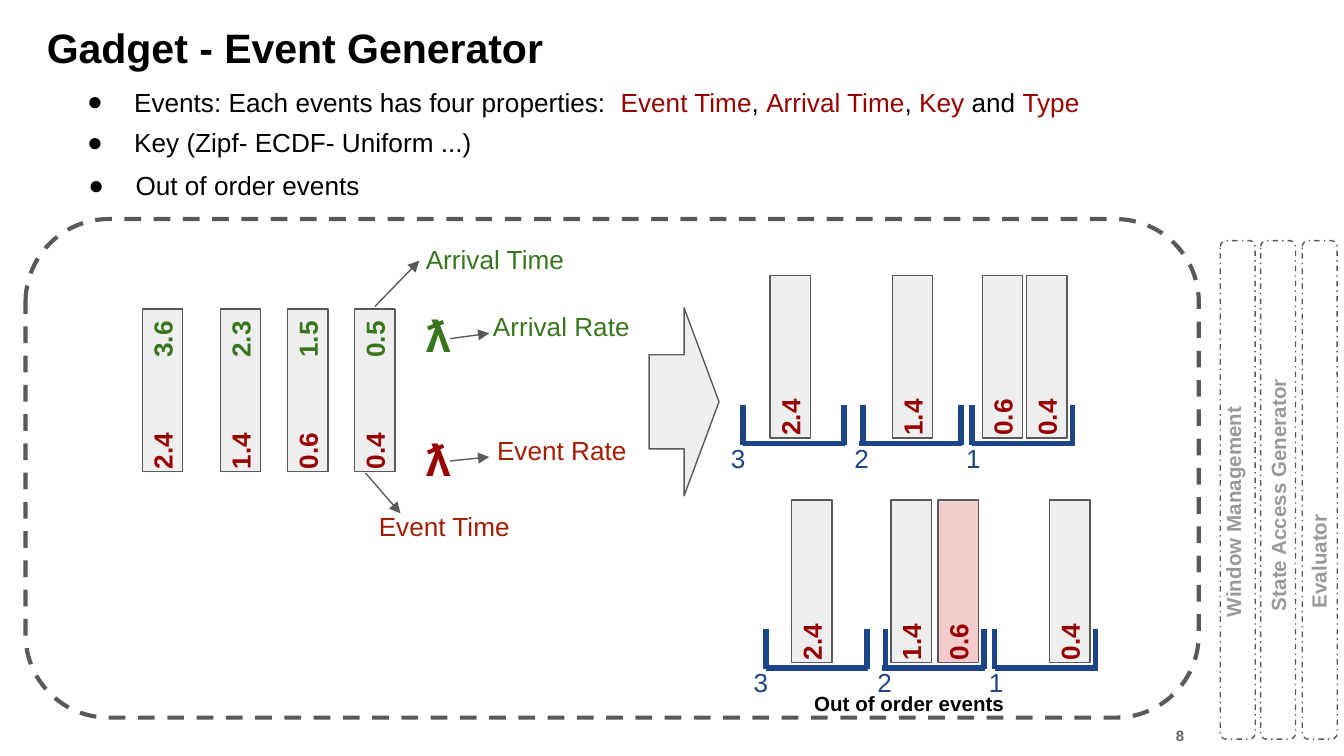
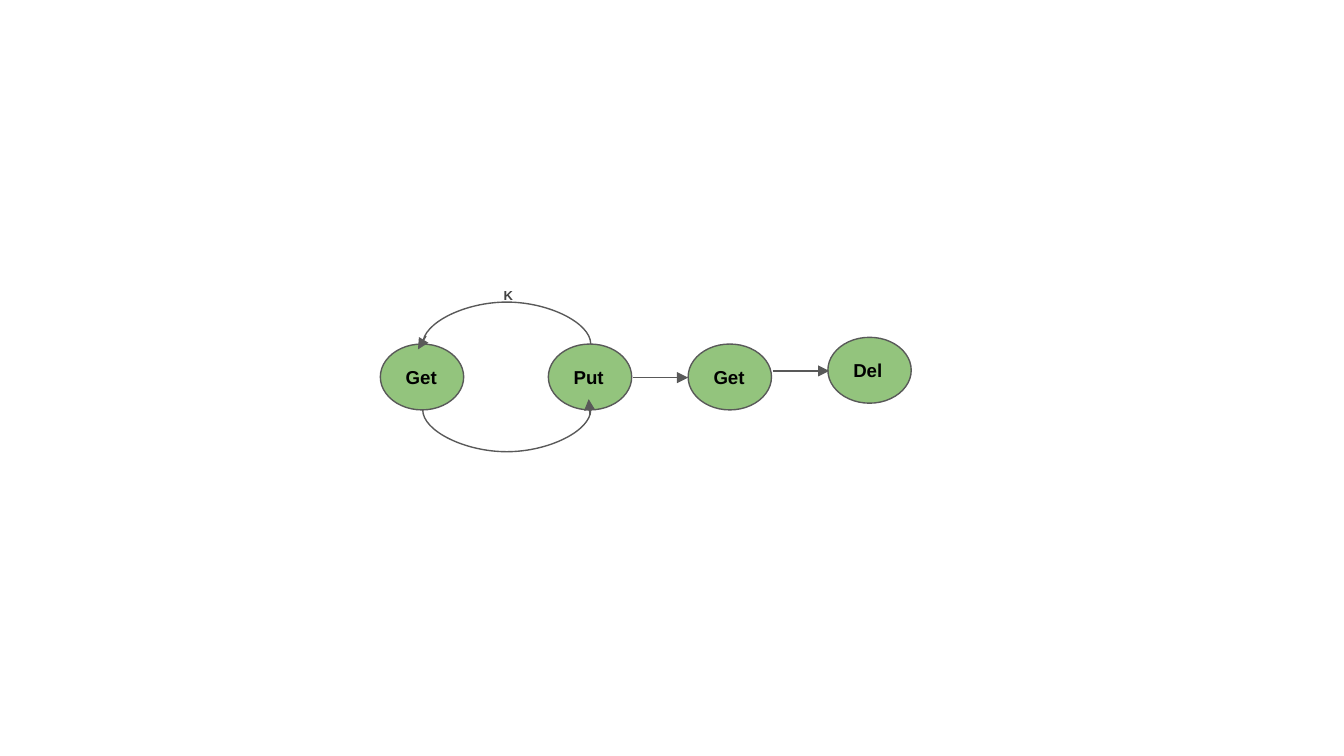
from lxml import etree
from pptx import Presentation
from pptx.dml.color import RGBColor
from pptx.enum import dml, shapes as kinds, text
from pptx.oxml import ns
from pptx.util import Emu, Inches, Pt

FONT = "Arial"
BLACK = RGBColor(0x00, 0x00, 0x00)
OUTLINE = RGBColor(0x59, 0x59, 0x59)
LIGHT = RGBColor(0xEE, 0xEE, 0xEE)
LATE = RGBColor(0xF4, 0xCC, 0xCC)
MUTED = RGBColor(0x99, 0x99, 0x99)
PAGE_GRAY = RGBColor(0x66, 0x66, 0x66)
LOOP_GRAY = RGBColor(0x43, 0x43, 0x43)
DARK_RED = RGBColor(0x98, 0x00, 0x00)
RUST = RGBColor(0xA6, 0x1C, 0x00)
GREEN = RGBColor(0x38, 0x76, 0x1D)
NAVY = RGBColor(0x1C, 0x45, 0x87)
NODE_GREEN = RGBColor(0x93, 0xC4, 0x7D)


def add_xml(parent, tag, **attributes):
    return etree.SubElement(parent, ns.qn(tag), attributes)


def set_font(font, size, color=None, bold=False):
    font.name, font.size, font.bold = FONT, Pt(size), bold
    if color is not None:
        font.color.rgb = color


def add_text_box(shapes, box, rotation=0):
    """Add a wrapping text box and return its first paragraph."""
    text_box = shapes.add_textbox(*map(Inches, box))
    text_box.rotation = rotation
    frame = text_box.text_frame
    frame.word_wrap = True
    frame.auto_size = text.MSO_AUTO_SIZE.SHAPE_TO_FIT_TEXT
    frame.margin_top = frame.margin_bottom = Inches(0.1)
    return frame.paragraphs[0]


def add_label(shapes, box, words, size=14, color=BLACK, bold=False, rotation=0):
    paragraph = add_text_box(shapes, box, rotation)
    paragraph.text = words
    set_font(paragraph.font, size, color, bold)
    return paragraph


def add_bullet(shapes, box, parts):
    """Add one bulleted line; parts are (words, colour) pairs."""
    paragraph = add_text_box(shapes, box)
    properties = paragraph._p.get_or_add_pPr()
    properties.set("marL", str(Inches(0.5)))
    properties.set("indent", str(Inches(-0.35)))
    add_xml(add_xml(properties, "a:buClr"), "a:srgbClr", val=str(BLACK))
    add_xml(properties, "a:buFont", typeface=FONT)
    add_xml(properties, "a:buChar", char="●")
    set_font(paragraph.font, 14)
    for words, color in parts:
        run = paragraph.add_run()
        run.text = words
        run.font.color.rgb = color


def add_outlined(shapes, kind, box, fill=None, width=0.75, dash=None):
    outlined = shapes.add_shape(kind, *map(Inches, box))
    outlined.shadow.inherit = False
    if fill is None:
        outlined.fill.background()
    else:
        outlined.fill.solid()
        outlined.fill.fore_color.rgb = fill
    outlined.line.color.rgb = OUTLINE
    outlined.line.width = Pt(width)
    if dash is not None:
        outlined.line.dash_style = dash
    return outlined


def style_line(line, color, width):
    line.line.color.rgb = color
    line.line.width = Pt(width)
    add_xml(line._element.spPr, "a:effectLst")


def add_line(shapes, start, end, color=OUTLINE, width=0.75):
    line = shapes.add_connector(
        kinds.MSO_CONNECTOR.STRAIGHT, *map(Inches, (*start, *end)))
    style_line(line, color, width)
    return line


def add_arrow(shapes, start, end):
    arrow = add_line(shapes, start, end)
    add_xml(arrow.line._get_or_add_ln(), "a:tailEnd", type="triangle")


def add_loop(shapes, y, bulge):
    """Curve between the first two nodes at height y, bulging down if positive."""
    left, span, thickness = Inches(3.77), Inches(1.25), Emu(600)
    top = Inches(y) - span // 2
    loop = shapes.add_connector(
        kinds.MSO_CONNECTOR.CURVE, left, top, left + thickness, top + span)
    properties = loop._element.spPr
    properties.find(ns.qn("a:xfrm")).set("rot", str(90 * 60000))
    guides = properties.find(ns.qn("a:prstGeom")).find(ns.qn("a:avLst"))
    ratio = round(Inches(bulge) / thickness * 100000)
    add_xml(guides, "a:gd", name="adj1", fmla=f"val {ratio}")
    style_line(loop, OUTLINE, 0.75)


def add_event(slide, x, y, event_time, arrival_time=None, fill=LIGHT):
    """Add an event bar with its event time below and arrival time above."""
    event = slide.shapes.add_group_shape().shapes
    add_outlined(event, kinds.MSO_SHAPE.RECTANGLE, (x, y, 0.3, 1.21), fill)
    times = [(event_time, 0.83, DARK_RED), (arrival_time, 0, GREEN)]
    for time, drop, color in times:
        if time:
            add_label(event, (x - 0.09, y + drop, 0.48, 0.44), time,
                      color=color, bold=True, rotation=270)


def add_windows(shapes, dx, dy):
    """Add the three numbered window brackets, moved by dx and dy."""
    base, foot, top = 3.3 + dy, 3.31 + dy, 3.01 + dy
    windows = [("3", 5.34, 5.53, 6.29, 5.53, 6.28),
               ("2", 6.26, 6.39, 7.16, 6.42, 7.15),
               ("1", 7.09, 7.23, 8.0, 7.23, 7.98)]
    for number, number_x, left, right, *posts in windows:
        add_line(shapes, (left + dx, base), (right + dx, base), NAVY, 3)
        for post in posts:
            add_line(shapes, (post + dx, foot), (post + dx, top), NAVY, 3)
        add_label(shapes, (number_x + dx, 3.19 + dy, 0.26, 0.44), number,
                  color=NAVY)


def add_bullets(shapes):
    add_bullet(shapes, (0.4, 0.54, 8.03, 0.44), [
        ("Events: Each events has four properties:  ", BLACK),
        ("Event Time", DARK_RED), (", ", BLACK),
        ("Arrival Time", DARK_RED), (", ", BLACK),
        ("Key", DARK_RED), (" and ", BLACK), ("Type", DARK_RED)])
    add_bullet(shapes, (0.4, 0.84, 6.78, 0.44),
               [("Key (Zipf- ECDF- Uniform ...)", BLACK)])
    add_bullet(shapes, (0.41, 1.16, 3.28, 0.44),
               [("Out of order events", BLACK)])


def add_event_source(slide):
    shapes = slide.shapes
    for x, event_time, arrival_time in [(1.06, "2.4", "3.6"), (1.64, "1.4", "2.3"),
                                        (2.14, "0.6", "1.5"), (2.64, "0.4", "0.5")]:
        add_event(slide, x, 2.3, event_time, arrival_time)
    for y, color in [(2.13, GREEN), (3.05, DARK_RED)]:
        rate = add_label(shapes, (3.07, y, 0.36, 0.61), "ƛ", 24, color, True)
        rate.line_spacing = 1.15
    for x, y, words, color in [(3.07, 1.71, "Arrival Time", GREEN),
                               (2.72, 3.7, "Event Time", RUST),
                               (3.57, 2.21, "Arrival Rate", GREEN),
                               (3.6, 3.13, "Event Rate", RUST)]:
        add_label(shapes, (x, y, 1.26, 0.44), words, color=color)
    for start, end in [((2.79, 2.28), (3.12, 1.94)), ((2.72, 3.52), (2.98, 3.82)),
                       ((3.35, 2.52), (3.64, 2.48)), ((3.35, 3.43), (3.64, 3.4))]:
        add_arrow(shapes, start, end)


def add_later_stages(shapes):
    for x in (9.08, 9.38, 9.69):
        add_outlined(shapes, kinds.MSO_SHAPE.ROUNDED_RECTANGLE,
                     (x, 1.79, 0.26, 3.71), dash=dml.MSO_LINE.DASH_DOT)
    for x, y, width, stage in [(8.29, 3.6, 1.79, "Window Management"),
                               (8.53, 3.46, 1.98, "State Access Generator"),
                               (8.83, 3.44, 1.98, "Evaluator")]:
        add_label(shapes, (x, y, width, 0.39), stage, 11, MUTED, True, 270)


def build_event_generator(slide):
    shapes = slide.shapes
    add_outlined(shapes, kinds.MSO_SHAPE.ROUNDED_RECTANGLE,
                 (0.19, 1.63, 8.73, 3.71), width=2.25, dash=dml.MSO_LINE.DASH)
    add_label(shapes, (0.25, 0.07, 9.52, 0.57), "Gadget - Event Generator",
              22, bold=True)
    add_bullets(shapes)
    add_event_source(slide)
    add_outlined(shapes, kinds.MSO_SHAPE.RIGHT_ARROW, (4.83, 2.29, 0.52, 1.4), LIGHT)

    add_windows(shapes, 0, 0)
    for x, time in [(7.64, "0.4"), (7.31, "0.6"), (6.64, "1.4"), (5.73, "2.4")]:
        add_event(slide, x, 2.05, time)
    add_windows(shapes, 0.17, 1.67)
    for x, time, fill in [(7.81, "0.4", LIGHT), (6.98, "0.6", LATE),
                          (6.63, "1.4", LIGHT), (5.89, "2.4", LIGHT)]:
        add_event(slide, x, 3.72, time, fill=fill)
    add_label(shapes, (5.96, 5.05, 3.28, 0.39), "Out of order events", 11, bold=True)

    add_later_stages(shapes)
    add_label(shapes, (8.65, 5.34, 1.35, 0.34), "8", 8, PAGE_GRAY, True)


def add_node(shapes, x, y, operation):
    node = add_outlined(shapes, kinds.MSO_SHAPE.OVAL, (x, y, 0.62, 0.49), NODE_GREEN)
    frame = node.text_frame
    frame.margin_top = frame.margin_bottom = Inches(0.1)
    frame.vertical_anchor = text.MSO_ANCHOR.MIDDLE
    paragraph = frame.paragraphs[0]
    paragraph.text = operation
    paragraph.alignment = text.PP_ALIGN.LEFT
    set_font(paragraph.font, 10, BLACK, True)


def build_state_machine(slide):
    shapes = slide.shapes
    for x, y, operation in [(2.83, 2.56, "Get"), (4.08, 2.56, "Put"),
                            (5.12, 2.56, "Get"), (6.16, 2.51, "Del")]:
        add_node(shapes, x, y, operation)
    add_loop(shapes, 3.05, 0.26)
    add_loop(shapes, 2.56, -0.26)
    for start, end in [((4.71, 2.81), (5.12, 2.81)), ((5.75, 2.76), (6.17, 2.76)),
                       ((3.17, 2.5), (3.11, 2.6)), ((4.39, 3.09), (4.38, 2.97))]:
        add_arrow(shapes, start, end)
    add_label(shapes, (3.65, 2.08, 0.26, 0.32), "K", 7, LOOP_GRAY, True)


def main():
    deck = Presentation()
    deck.slide_width = Inches(10)
    deck.slide_height = deck.slide_width * 9 // 16
    blank = deck.slide_layouts[6]
    for build in (build_event_generator, build_state_machine):
        build(deck.slides.add_slide(blank))
    deck.save("out.pptx")


if __name__ == "__main__":
    main()
